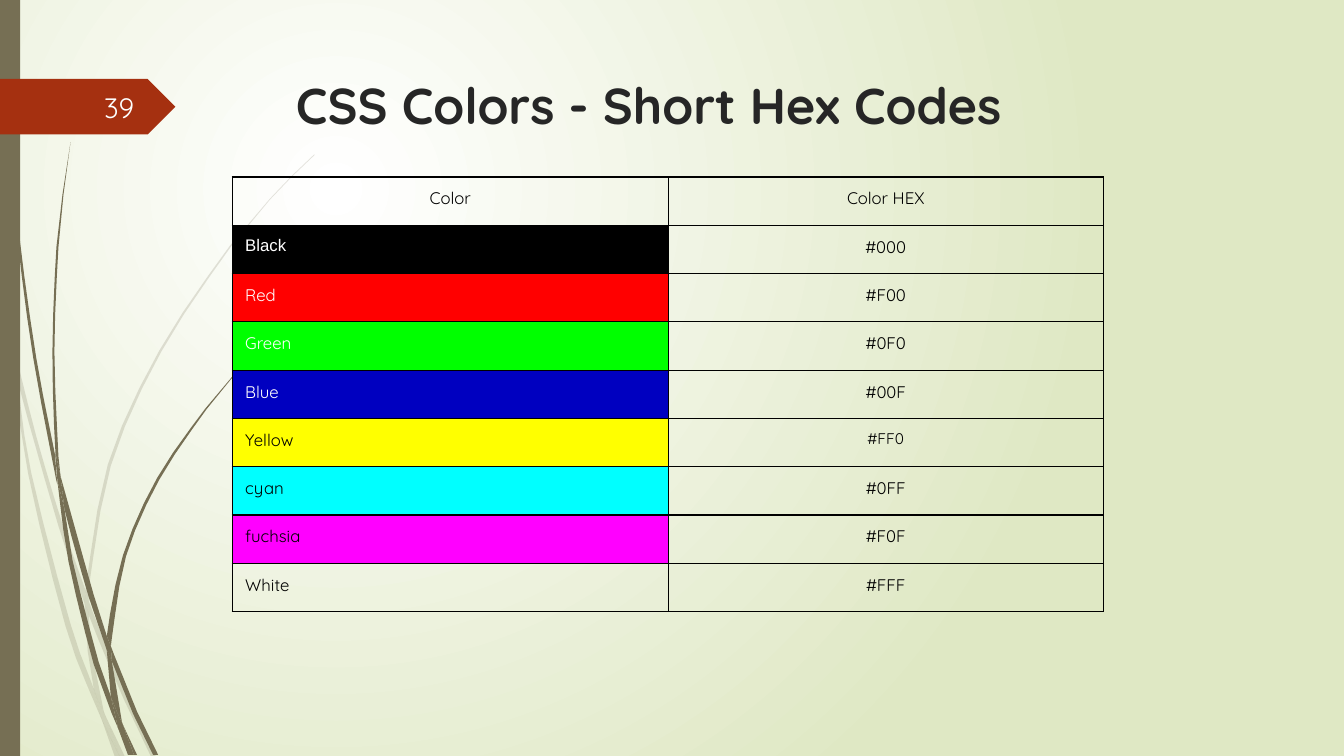
import lxml.etree
import pptx
import pptx.dml.color
import pptx.enum.shapes
import pptx.enum.text
import pptx.oxml.ns
import pptx.util

Cm = pptx.util.Cm
RGBColor = pptx.dml.color.RGBColor
ALIGN = pptx.enum.text.PP_ALIGN
ANCHOR = pptx.enum.text.MSO_ANCHOR
SHAPES = pptx.enum.shapes.MSO_SHAPE
qn = pptx.oxml.ns.qn

WHITE = RGBColor(0xFF, 0xFF, 0xFF)
BLACK = RGBColor(0x00, 0x00, 0x00)
PALE_GREEN = RGBColor(0xDF, 0xE8, 0xC4)
OLIVE = RGBColor(0x76, 0x6F, 0x54)
RUST = RGBColor(0xA5, 0x30, 0x10)
CHARCOAL = RGBColor(0x26, 0x26, 0x26)
NEAR_WHITE = RGBColor(0xFE, 0xFF, 0xFF)
RED = RGBColor(0xFF, 0x00, 0x00)
GREEN = RGBColor(0x00, 0xFF, 0x00)
BLUE = RGBColor(0x00, 0x00, 0xC0)
YELLOW = RGBColor(0xFF, 0xFF, 0x00)
CYAN = RGBColor(0x00, 0xFF, 0xFF)
FUCHSIA = RGBColor(0xFF, 0x00, 0xFF)

FONT = "Quicksand"
GRASS_UNIT = 2.54
CURVE_STEPS = 3

PALE_BLADES = [
    ([(0, 2.82), (0.09, 3.22), (0.11, 3.5)], [(0.1, 3.44), (0, 2.99)]),
    ([(0.14, 3.45), (0.17, 3.76), (0.58, 5.22), (0.84, 5.99)],
     [(0.85, 5.86), (0.62, 5.2), (0.36, 4.33), (0.14, 3.45)]),
    ([(0.88, 5.96), (0.88, 6.1), (1.23, 6.94), (1.5, 7.51)],
     [(1.55, 7.51), (1.27, 6.92), (0.92, 6.07), (0.88, 5.96)]),
    ([(1.05, 7.11), (1.19, 7.51)], [(1.24, 7.51), (1.05, 7.11)]),
    ([(0.11, 3.5), (0.28, 4.7), (0.65, 6.21), (0.92, 6.93), (1.01, 7.14)],
     [(0.99, 7.07), (0.93, 6.83), (0.7, 6.19), (0.31, 4.69), (0.17, 3.76), (0.11, 3.5)]),
    ([(0.84, 5.99), (0.87, 6.46), (0.93, 6.83), (0.96, 6.92), (1.05, 7.11)],
     [(1.03, 7.06), (0.91, 6.46), (0.88, 6.1), (0.88, 6.08), (0.84, 5.99)]),
    ([(3.12, 1.53), (2.89, 1.75), (2.68, 1.97), (2.28, 2.44), (1.58, 3.48), (1.07, 4.61),
      (0.85, 5.84), (0.85, 5.86), (0.88, 5.96)],
     [(0.88, 5.84), (1.1, 4.62), (1.6, 3.49), (2.29, 2.45), (2.68, 1.98), (2.9, 1.75),
      (3.12, 1.54)]),
    ([(1.01, 7.14), (1.14, 7.51)], [(1.19, 7.51), (1.01, 7.14)]),
    ([(0.85, 5.86), (0.84, 5.99), (0.88, 6.08)], [(0.88, 6.1), (0.88, 5.96), (0.85, 5.86)]),
    ([(0.93, 6.83), (0.99, 7.07), (1.01, 7.14), (1.19, 7.51)],
     [(1.05, 7.11), (0.96, 6.92), (0.93, 6.83)]),
]
DARK_BLADES = [
    ([(0.03, 0), (0.04, 0.48), (0.07, 1.1), (0.17, 2.33), (0.33, 3.55), (0.56, 4.77),
      (0.57, 4.81)],
     [(0.55, 4.57), (0.55, 4.53), (0.36, 3.55), (0.19, 2.32), (0.08, 1.09), (0.05, 0.48),
      (0.04, 0)]),
    ([(0.6, 4.72), (0.64, 5.05), (0.88, 5.92), (1.06, 6.45)],
     [(1.06, 6.33), (1.06, 6.31), (0.93, 5.9), (0.6, 4.72)]),
    ([(1.1, 6.41), (1.11, 6.56), (1.32, 7.08), (1.52, 7.49)],
     [(1.57, 7.49), (1.36, 7.06), (1.13, 6.49), (1.1, 6.41)]),
    ([(0.57, 4.77), (0.68, 5.57), (0.93, 6.59), (1.11, 7.08), (1.17, 7.22)],
     [(1.16, 7.17), (1.1, 6.91), (0.98, 6.57), (0.72, 5.56), (0.64, 5.05), (0.57, 4.77)]),
    ([(0.7, 1.41), (0.62, 1.93), (0.56, 2.45), (0.52, 3.49), (0.55, 4.49), (0.6, 4.72)],
     [(0.58, 4.53), (0.54, 3.49), (0.58, 2.45), (0.63, 1.93), (0.7, 1.41)]),
    ([(1.22, 7.19), (1.33, 7.49)], [(1.36, 7.49), (1.22, 7.19)]),
    ([(0.55, 4.49), (0.55, 4.53), (0.57, 4.77), (0.64, 5.05)], [(0.6, 4.72), (0.55, 4.49)]),
    ([(2.6, 3.44), (2.45, 3.58), (2.31, 3.73), (2.04, 4.05), (1.56, 4.74), (1.22, 5.51),
      (1.06, 6.31), (1.1, 6.41)],
     [(1.11, 6.33), (1.25, 5.52), (1.58, 4.76), (2.05, 4.06), (2.31, 3.74), (2.45, 3.59),
      (2.61, 3.44)]),
    ([(1.17, 7.22), (1.27, 7.49)], [(1.31, 7.49), (1.17, 7.22)]),
    ([(1.06, 6.45), (1.1, 6.91), (1.16, 7.06), (1.22, 7.19)],
     [(1.21, 7.16), (1.11, 6.56), (1.09, 6.51), (1.06, 6.45)]),
    ([(1.06, 6.31), (1.06, 6.45), (1.11, 6.56)], [(1.1, 6.41), (1.06, 6.31)]),
    ([(1.1, 6.91), (1.16, 7.17), (1.17, 7.22), (1.3, 7.49)],
     [(1.33, 7.49), (1.22, 7.19), (1.16, 7.06), (1.1, 6.91)]),
]
COLOR_ROWS = [
    ("Black", "#000", BLACK, WHITE),
    ("Red", "#F00", RED, WHITE),
    ("Green", "#0F0", GREEN, WHITE),
    ("Blue", "#00F", BLUE, WHITE),
    ("Yellow", "#FF0", YELLOW, BLACK),
    ("cyan", "#0FF", CYAN, BLACK),
    ("fuchsia", "#F0F", FUCHSIA, BLACK),
    ("White", "#FFF", None, BLACK),
]


def write_text(frame, text, *, size=12, color=BLACK, font=FONT, bold=False,
               align=ALIGN.LEFT, line_spacing=1.0, space_after=0):
    frame.word_wrap = True
    paragraph = frame.paragraphs[0]
    paragraph.alignment = align
    paragraph.line_spacing = line_spacing
    paragraph.space_after = pptx.util.Pt(space_after)
    run = paragraph.add_run()
    run.text = text
    run.font.name, run.font.size, run.font.bold = font, pptx.util.Pt(size), bold
    run.font.color.rgb = color


def paint(shape, color, opacity=100):
    shape.shadow.inherit = False
    shape.fill.solid()
    shape.fill.fore_color.rgb = color
    shape.line.fill.background()
    if opacity < 100:
        color_element = shape._element.spPr.find(".//" + qn("a:srgbClr"))
        lxml.etree.SubElement(color_element, qn("a:alpha"), val=str(opacity * 1000))


def paint_background(slide):
    fill = slide.background.fill
    fill.gradient()
    for stop, color in zip(fill.gradient_stops, (WHITE, PALE_GREEN)):
        stop.color.rgb = color
    gradient = slide._element.find(".//" + qn("a:gradFill"))
    gradient.remove(gradient.find(qn("a:lin")))
    circle = lxml.etree.SubElement(gradient, qn("a:path"), path="circle")
    lxml.etree.SubElement(circle, qn("a:fillToRect"),
                          l="50000", t="50000", r="100000", b="100000")


def smooth(edge):
    padded = [edge[0], *edge, edge[-1]]
    for before, start, end, after in zip(padded, padded[1:], padded[2:], padded[3:]):
        steps = CURVE_STEPS if abs(end[1] - start[1]) > 0.6 else 1
        for t in (step / steps for step in range(steps)):
            yield tuple(
                (2 * b + (c - a) * t + (2 * a - 5 * b + 4 * c - d) * t ** 2
                 + (3 * b - a - 3 * c + d) * t ** 3) / 2
                for a, b, c, d in zip(before, start, end, after))
    yield edge[-1]


def add_grass(slide, box, blades, opacity):
    group = slide.shapes.add_group_shape()
    for edges in blades:
        points = [(Cm(box[0] + x * GRASS_UNIT), Cm(box[1] + y * GRASS_UNIT))
                  for edge in edges for x, y in smooth(edge)]
        builder = group.shapes.build_freeform(*points[0])
        builder.add_line_segments(points[1:], close=True)
        paint(builder.convert_to_shape(), OLIVE, opacity)


def add_side_decoration(slide, box):
    add_grass(slide, box, PALE_BLADES, 20)
    add_grass(slide, box, DARK_BLADES, 100)
    paint(slide.shapes.add_shape(SHAPES.RECTANGLE, *map(Cm, box)), OLIVE)


def add_page_tag(slide, box, number):
    left, top, width, height = box
    paint(slide.shapes.add_shape(SHAPES.PENTAGON, *map(Cm, box)), RUST)
    label = slide.shapes.add_textbox(Cm(left + 1.47), Cm(top + 0.2),
                                     Cm(width - 2.26), Cm(height - 0.38))
    label.text_frame.vertical_anchor = ANCHOR.MIDDLE
    write_text(label.text_frame, number, size=20, color=NEAR_WHITE, align=ALIGN.RIGHT)


def add_title(slide, box, text):
    title = slide.shapes.add_textbox(*map(Cm, box))
    write_text(title.text_frame, text, size=36, color=CHARCOAL, bold=True)


def format_cell(cell, text, *, fill=None, indent=0, **text_format):
    cell.margin_left = Cm(0.2 + indent)
    cell.margin_right = cell.margin_top = cell.margin_bottom = Cm(0.2)
    write_text(cell.text_frame, text, line_spacing=1.15, space_after=15, **text_format)
    if fill is None:
        cell.fill.background()
    else:
        cell.fill.solid()
        cell.fill.fore_color.rgb = fill
    for position, side in enumerate(("a:lnL", "a:lnR", "a:lnT", "a:lnB")):
        border = lxml.etree.Element(qn(side), w=str(pptx.util.Pt(1)))
        solid = lxml.etree.SubElement(border, qn("a:solidFill"))
        lxml.etree.SubElement(solid, qn("a:srgbClr"), val=str(BLACK))
        cell._tc.get_or_add_tcPr().insert(position, border)


def add_color_table(slide, box):
    row_count = len(COLOR_ROWS) + 1
    table = slide.shapes.add_table(row_count, 2, *map(Cm, box)).table
    table.first_row = table.horz_banding = False
    for column, share in zip(table.columns, (0.501, 0.499)):
        column.width = Cm(box[2] * share)
    for row in table.rows:
        row.height = Cm(box[3] / row_count)
    for column, heading in enumerate(("Color", "Color HEX")):
        format_cell(table.cell(0, column), heading, align=ALIGN.CENTER)
    for row, (name, code, fill, color) in enumerate(COLOR_ROWS, start=1):
        format_cell(table.cell(row, 0), name, fill=fill, color=color, indent=0.13,
                    font="Arial" if name == "Black" else FONT)
        format_cell(table.cell(row, 1), code, align=ALIGN.CENTER,
                    size=11 if name == "Yellow" else 12)


def main():
    presentation = pptx.Presentation()
    presentation.slide_width, presentation.slide_height = Cm(33.87), Cm(19.05)
    slide = presentation.slides.add_slide(presentation.slide_layouts[6])
    paint_background(slide)
    add_side_decoration(slide, (0, 0, 0.51, 19.05))
    add_page_tag(slide, (0, 1.99, 4.42, 1.4), "39")
    add_title(slide, (7.21, 1.74, 24.77, 3.56), "CSS Colors - Short Hex Codes")
    add_color_table(slide, (5.85, 4.46, 21.95, 10.96))
    presentation.save("out.pptx")


if __name__ == "__main__":
    main()
